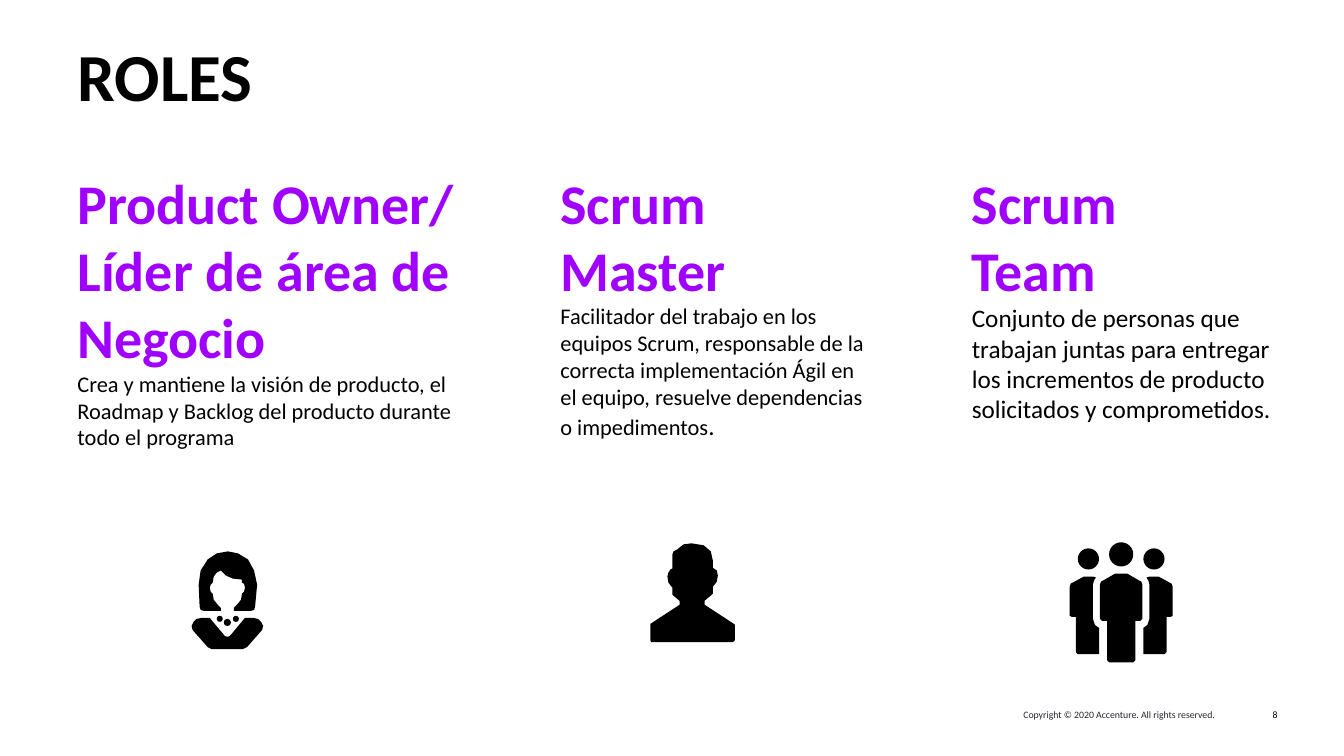
from pptx import Presentation
from pptx.dml.color import RGBColor
from pptx.enum.shapes import MSO_SHAPE as Preset
from pptx.enum.text import MSO_ANCHOR as Anchor, MSO_AUTO_SIZE as AutoSize, PP_ALIGN as Align
from pptx.util import Inches, Pt

COLORS = {"ink": "000000", "role": "A000FF", "legal": "27262D"}
FONT = "Calibri"
ICON_UNIT = Inches(0.01)
ROLE_TOP = 1.62

ROLES = [
    (0.67, 4.11, 3.7, ["Product Owner/ Líder de área de Negocio"],
     [("Crea y mantiene la visión de producto, el Roadmap y Backlog del producto "
       "durante todo el programa", 16)]),
    (5.46, 3.25, 3.37, ["Scrum Master"],
     [("Facilitador del trabajo en los equipos Scrum, responsable de la correcta "
       "implementación Ágil en el equipo, resuelve dependencias o impedimentos", 16), (".", 18)]),
    (9.54, 3.25, 2.66, ["Scrum", "Team"],
     [("Conjunto de personas que trabajan juntas para entregar los incrementos de "
       "producto solicitados y comprometidos.", 18)]),
]

OWNER_HAIR = [
    (8, 55), (9, 58), (12, 59), (29, 59), (29, 56), (26, 53), (22, 48), (21, 42), (19, 40),
    (18, 36), (19, 33), (21, 31), (22, 25), (25, 21), (29, 19), (34, 24), (41, 27), (50, 28),
    (50, 31), (52, 32), (53, 36), (52, 40), (50, 42), (49, 48), (45, 53), (42, 56), (42, 59),
    (59, 59), (62, 58), (63, 55), (65, 33), (62, 19), (56, 8), (46, 2), (36, 0), (25, 2),
    (16, 8), (9, 19), (7, 33)]
OWNER_SHOULDER = [(36, 85), (33, 84), (18, 66), (10, 66), (5, 67), (2, 70), (0, 74),
                  (1, 78), (16, 95), (20, 97)]
MASTER_BUST = [
    (83, 80), (54, 61), (54, 57), (55, 56), (61, 51), (62, 50), (62, 43), (63, 42), (66, 38),
    (67, 32), (66, 27), (63, 25), (62, 24), (62, 17), (60, 8), (53, 2), (41, 0), (33, 1),
    (28, 5), (27, 6), (23, 8), (22, 11), (22, 25), (20, 26), (18, 29), (17, 33), (18, 39),
    (21, 43), (22, 44), (22, 51), (29, 57), (29, 61), (0, 80), (0, 96), (1, 98), (82, 98),
    (84, 96), (84, 81)]
TEAM_SIDE = [(2, 74), (6, 74), (6, 109), (8, 111), (29, 111), (29, 85), (25, 82), (23, 76),
             (23, 42), (24, 38), (26, 35), (23, 34), (14, 34), (3, 40), (1, 41), (0, 44),
             (0, 73)]
TEAM_FRONT = [(45, 31), (33, 38), (31, 39), (30, 42), (30, 76), (32, 78), (37, 78),
              (37, 117), (39, 119)]


def box(place, left, top, width, height):
    """Call a shape-adding method with a box given in inches."""
    return place(*(Inches(length) for length in (left, top, width, height)))


def style(run, size, color, bold=False):
    """Format one run of text."""
    run.font.name, run.font.size, run.font.bold = FONT, Pt(size), bold
    run.font.color.rgb = RGBColor.from_string(COLORS[color])


def paint(part):
    """Fill an icon part with ink, without outline or shadow."""
    part.fill.solid()
    part.fill.fore_color.rgb = RGBColor.from_string(COLORS["ink"])
    part.line.fill.background()
    part.shadow.inherit = False


def mirror(points, width):
    """Reflect an outline inside an icon of the given width."""
    return [(width - x, y) for x, y in reversed(points)]


def draw_icon(shapes, left, top, outlines, circles=()):
    """Draw outlines and (x, y, diameter) circles from the icon's corner."""
    for points in outlines:
        builder = shapes.build_freeform(*points[0], scale=ICON_UNIT)
        builder.add_line_segments(points[1:])
        paint(builder.convert_to_shape(Inches(left), Inches(top)))
    for x, y, diameter in circles:
        paint(shapes.add_shape(Preset.OVAL, Inches(left) + x * ICON_UNIT,
                               Inches(top) + y * ICON_UNIT,
                               diameter * ICON_UNIT, diameter * ICON_UNIT))


def draw_title(title):
    """Place and format the slide title."""
    title.left, title.top, title.width, title.height = map(Inches, (0.67, 0.51, 9.12, 1.26))
    frame = title.text_frame
    frame.text = "ROLES"
    frame.auto_size, frame.vertical_anchor = AutoSize.NONE, Anchor.TOP
    heading = frame.paragraphs[0]
    heading.alignment, heading.line_spacing = Align.LEFT, 0.7
    style(heading.runs[0], 48, "ink", True)


def draw_role(shapes, left, width, height, names, duty):
    """Write a role's name and its duty in one column."""
    frame = box(shapes.add_textbox, left, ROLE_TOP, width, height).text_frame
    frame.word_wrap = True
    frame.text = "\n".join(names)
    for name in frame.paragraphs:
        style(name.runs[0], 40, "role", True)
    description = frame.add_paragraph()
    for words, size in duty:
        run = description.add_run()
        run.text = words
        style(run, size, "ink")


def draw_footer_item(shapes, words, color, left, width, height, anchor):
    """Write one right-aligned footer text."""
    frame = box(shapes.add_textbox, left, 7.03, width, height).text_frame
    frame.margin_left = frame.margin_right = frame.margin_top = frame.margin_bottom = 0
    frame.word_wrap, frame.vertical_anchor = True, anchor
    frame.text = words
    frame.paragraphs[0].alignment = Align.RIGHT
    style(frame.paragraphs[0].runs[0], 7, color)


def draw_icons(shapes):
    """Draw the three role icons."""
    draw_icon(shapes, 1.9, 5.47,
              [OWNER_HAIR, OWNER_SHOULDER + mirror(OWNER_SHOULDER, 71)],
              [(32, 67, 7), (41, 64, 6), (25, 64, 6)])
    draw_icon(shapes, 6.45, 5.39, [MASTER_BUST])
    draw_icon(shapes, 10.61, 5.38,
              [TEAM_SIDE, mirror(TEAM_SIDE, 102), TEAM_FRONT + mirror(TEAM_FRONT, 102)],
              [(8, 6, 21), (73, 6, 21), (39, 0, 24)])


def main():
    """Build and save the roles slide."""
    deck = Presentation()
    deck.slide_width, deck.slide_height = Inches(13.33), Inches(7.5)
    slide = deck.slides.add_slide(deck.slide_layouts[5])
    shapes = slide.shapes
    draw_title(shapes.title)
    for role in ROLES:
        draw_role(shapes, *role)
    draw_icons(shapes)
    draw_footer_item(shapes, "Copyright © 2020 Accenture. All rights reserved.", "legal",
                     8.71, 3.34, 0.17, Anchor.TOP)
    draw_footer_item(shapes, "8", "ink", 12.15, 0.52, 0.12, Anchor.MIDDLE)
    deck.save("out.pptx")


if __name__ == "__main__":
    main()
